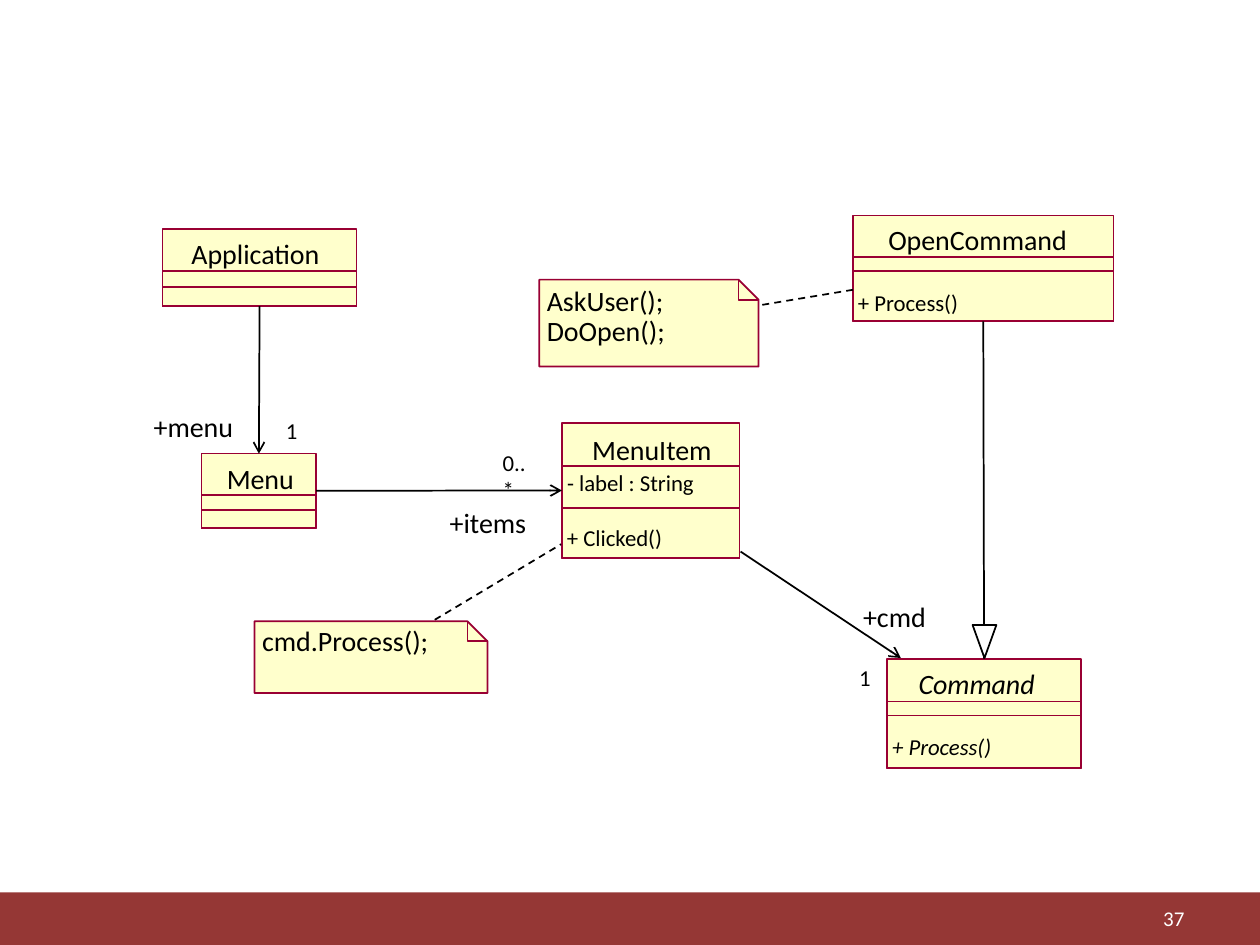
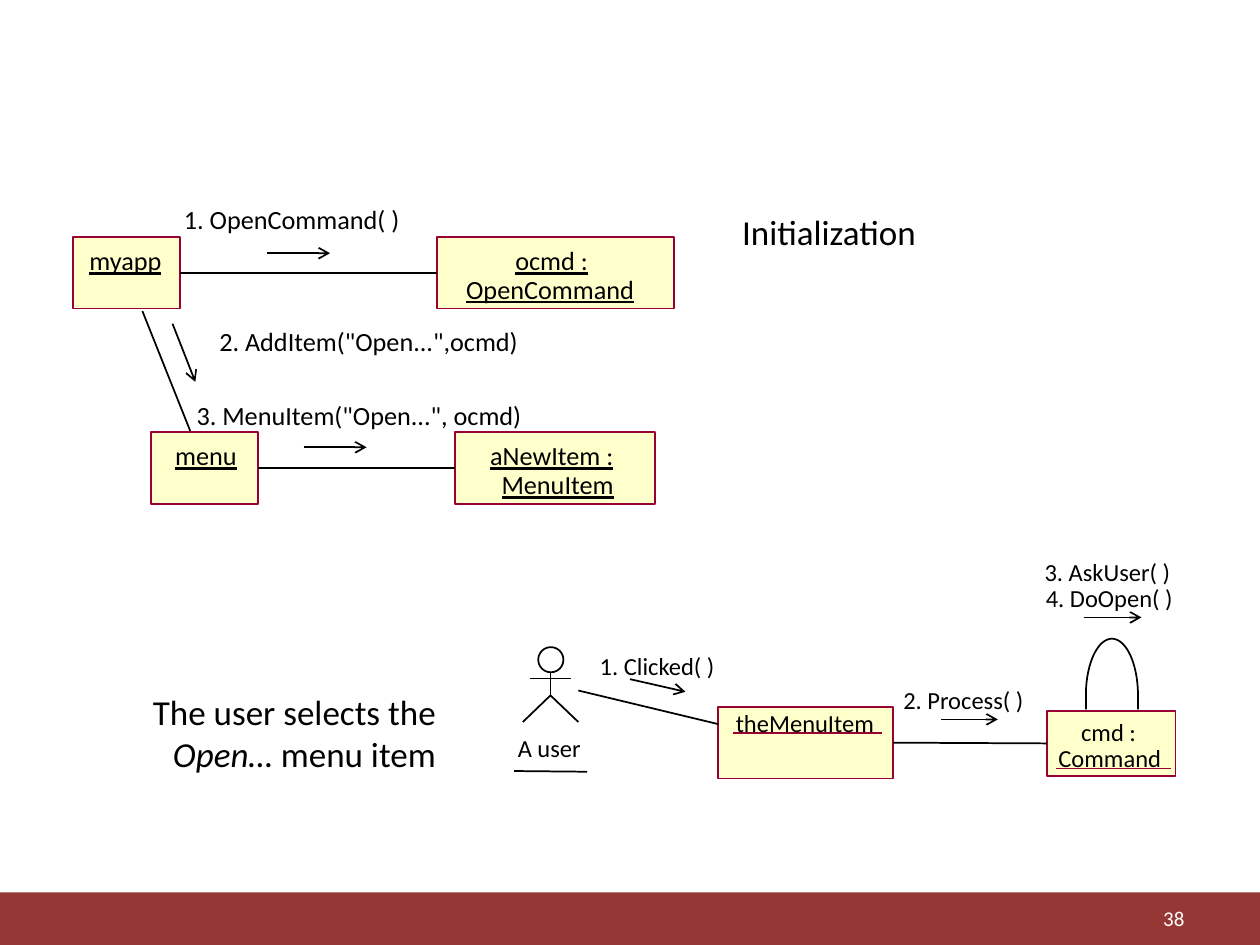
from math import cos, pi, sin
from lxml.etree import SubElement
from pptx import Presentation
from pptx.dml.color import RGBColor
from pptx.enum.dml import MSO_LINE
from pptx.enum.shapes import MSO_CONNECTOR, MSO_SHAPE
from pptx.enum.text import MSO_AUTO_SIZE, PP_ALIGN
from pptx.oxml.ns import qn
from pptx.util import Pt

BRICK = RGBColor(0x95, 0x37, 0x35)
WINE = RGBColor(0x99, 0x00, 0x33)
CREAM = RGBColor(0xFF, 0xFF, 0xCC)
WHITE = RGBColor(0xFF, 0xFF, 0xFF)
BLACK = RGBColor(0, 0, 0)
FOLD = 11.5


def paint(shape, fill, edge):
    shape.shadow.inherit = False
    if fill is None:
        shape.fill.background()
    else:
        shape.fill.solid()
        shape.fill.fore_color.rgb = fill
    if edge is None:
        shape.line.fill.background()
    else:
        shape.line.color.rgb = edge
        shape.line.width = Pt(1)


def write(slide, left, top, width, size, runs, look="", color=BLACK):
    box = slide.shapes.add_textbox(Pt(left), Pt(top), Pt(width), Pt(size * 1.22))
    frame = box.text_frame
    frame.margin_left = frame.margin_right = 0
    frame.margin_top = frame.margin_bottom = 0
    frame.word_wrap = "w" in look
    frame.auto_size = MSO_AUTO_SIZE.SHAPE_TO_FIT_TEXT
    para = frame.paragraphs[0]
    para.alignment = PP_ALIGN.RIGHT if "r" in look else PP_ALIGN.LEFT
    for words, slant in runs:
        run = para.add_run()
        run.text = words
        run.font.name = "Calibri"
        run.font.size = Pt(size)
        run.font.color.rgb = color
        run.font.italic = slant
        run.font.underline = "u" in look


classes = {
    "number": "37",
    "boxes": {
        "app": (92.9, 131, 110.9, 44, (23.8, 33.1)),
        "menu": (115.2, 259.2, 65.5, 42.5, (23.8, 32.4)),
        "item": (321.1, 241.9, 101.5, 76.8, (24.5, 48.2)),
        "command": (506.9, 376.4, 110.9, 62.6, (24.5, 32.4)),
        "open": (487.4, 123.1, 149, 60.5, (23.8, 31.7)),
    },
    "joins": [
        ("app", 2, "menu", 0, "arrow"),
        ("menu", 3, "item", 1, "arrow"),
        ("open", 2, "command", 0, ""),
    ],
    "lines": [
        (248.4, 354.2, 320.6, 311, BLACK, "dash"),
        (435.6, 174.2, 487.4, 165.6, BLACK, "dash"),
        (423.2, 315.2, 514.8, 376, BLACK, "arrow"),
    ],
    "outlines": [([(562.6, 376), (569.4, 357.1), (555.8, 357.1)], True, WHITE, BLACK)],
    "labels": [
        (149.8, 356.4, 108, 16, "cmd.Process();", ""),
        (312.5, 162, 75.6, 16, "AskUser();", ""),
        (312.5, 179.3, 75, 16, "DoOpen();", ""),
        (109.4, 135.4, 77.8, 16, "Application", ""),
        (129.6, 263.5, 40.3, 16, "Menu", ""),
        (87.8, 234, 49.7, 16, "+menu", ""),
        (163.4, 238.3, 7.2, 13, "1", ""),
        (338.4, 247, 71.3, 16, "MenuItem", ""),
        (324, 267.8, 80.6, 13, "- label : String", ""),
        (324, 299.5, 62.6, 13, "+ Clicked()", ""),
        (257, 288.7, 47.5, 16, "+items", ""),
        (287.3, 256.3, 19.4, 13, "0..*", "w"),
        (524.9, 380.9, 73.4, 16, "Command", "i"),
        (509.8, 419, 67, 13, "+ Process()", "i"),
        (491, 379.4, 7.2, 13, "1", ""),
        (493.2, 342.7, 39.6, 16, "+cmd", ""),
        (507.6, 127.4, 113, 16, "OpenCommand", ""),
        (490.3, 164.9, 67, 13, "+ Process()", ""),
    ],
}
for left, top, width, height in ((145.4, 355, 133.2, 41), (308.2, 159.8, 125.3, 49.7)):
    right, base = left + width, top + height
    crease = [(right - FOLD, top), (right - FOLD, top + FOLD), (right, top + FOLD)]
    sheet = [(left, top), crease[0], crease[2], (right, base), (left, base)]
    classes["outlines"] += [(sheet, True, CREAM, WINE), (crease, False, None, WINE)]

turns = [pi * step / 40 for step in range(41)]
curve = [(635.4 - 14.9 * cos(turn), 397.4 - 32.4 * sin(turn)) for turn in turns]
calls = {
    "number": "38",
    "boxes": {
        "myapp": (41.8, 135.4, 61.2, 41, ()),
        "menu": (86.4, 247, 61.2, 41, ()),
        "ocmd": (249.8, 135.4, 135.4, 41, ()),
        "new": (259.9, 247, 114.5, 41, ()),
        "item": (410.4, 403.9, 100, 41, ()),
        "cmd": (598.3, 406.1, 73.5, 37.4, ()),
    },
    "joins": [
        ("myapp", 3, "ocmd", 1, ""),
        ("menu", 3, "new", 1, ""),
        ("item", 3, "cmd", 1, ""),
    ],
    "lines": [
        (81.4, 177.8, 108.7, 246.2, BLACK, ""),
        (98.6, 185, 111.6, 218.2, BLACK, "arrow"),
        (152.6, 144.7, 188.6, 144.7, BLACK, "arrow"),
        (173.5, 255.6, 209.5, 255.6, BLACK, "arrow"),
        (314.6, 383.8, 314.6, 397.4, BLACK, ""),
        (303.1, 387.7, 326.2, 387.7, BLACK, ""),
        (293.8, 440.6, 335.5, 441, BLACK, ""),
        (330.5, 394.6, 410.4, 413.8, BLACK, ""),
        (360, 388.1, 391.7, 395.3, BLACK, "arrow"),
        (537.8, 411.1, 570.2, 411.1, BLACK, "arrow"),
        (619.2, 352.8, 652.3, 352.8, BLACK, "arrow"),
        (419, 418.7, 504, 418.7, WINE, ""),
        (603.4, 439.2, 668.9, 439.2, WINE, ""),
    ],
    "outlines": [
        ([(298.8, 412.6), (314.6, 397.4), (330.5, 412.6)], False, None, BLACK),
        ([(620.5, 405.4)] + curve + [(650.3, 405.4)], False, None, BLACK),
    ],
    "labels": [
        (424.1, 120.2, 104.4, 20, "Initialization", ""),
        (51.1, 139.7, 45.4, 15, "myapp", "u"),
        (100.1, 251.3, 37.4, 15, "menu", "u"),
        (294.5, 139.7, 49, 15, "ocmd :", "u"),
        (266.4, 156.2, 105.8, 15, "OpenCommand", "u"),
        (280.1, 251.3, 79.9, 15, "aNewItem :", "u"),
        (286.6, 267.8, 67, 15, "MenuItem", "u"),
        (125.3, 185.8, 183.6, 15, '2. AddItem("Open...",ocmd)', ""),
        (105.1, 115.9, 136.8, 15, "1. OpenCommand( )", ""),
        (112.3, 228.2, 198, 15, '3. MenuItem("Open...", ocmd)', ""),
        (295.9, 419, 40.3, 14, "A user", ""),
        (420.5, 404.6, 81.4, 14, "theMenuItem", ""),
        (617.8, 409.7, 38.2, 14, "cmd :", ""),
        (604.8, 424.8, 64, 14, "Command", ""),
        (596.9, 318.2, 81.4, 14, "3. AskUser( )", ""),
        (597.6, 333.4, 80.6, 14, "4. DoOpen( )", ""),
        (342.7, 372.2, 74.2, 14, "1. Clicked( )", ""),
        (516.2, 391.7, 79.2, 14, "2. Process( )", ""),
    ],
}

deck = Presentation()
deck.slide_width, deck.slide_height = Pt(720), Pt(540)

for page in (classes, calls):
    slide = deck.slides.add_slide(deck.slide_layouts[6])
    shapes = slide.shapes
    band = shapes.add_shape(MSO_SHAPE.RECTANGLE, 0, Pt(510), Pt(720), Pt(30))
    paint(band, BRICK, None)
    write(slide, 516, 517.2, 160.8, 12, [(page["number"], False)], "rw", WHITE)

    frames = {}
    for name, (left, top, width, height, cuts) in page["boxes"].items():
        for cut in (0, *cuts):
            part = shapes.add_shape(MSO_SHAPE.RECTANGLE, Pt(left), Pt(top + cut),
                                    Pt(width), Pt(height - cut))
            paint(part, None if cut else CREAM, WINE)
            frames.setdefault(name, part)

    links = []
    for first, start, last, end, style in page["joins"]:
        link = shapes.add_connector(MSO_CONNECTOR.STRAIGHT, 0, 0, 0, 0)
        link.begin_connect(frames[first], start)
        link.end_connect(frames[last], end)
        links.append((link, BLACK, style))
    for *ends, color, style in page["lines"]:
        link = shapes.add_connector(MSO_CONNECTOR.STRAIGHT, *map(Pt, ends))
        links.append((link, color, style))
    for link, color, style in links:
        link.line.color.rgb = color
        link.line.width = Pt(1)
        if style == "dash":
            link.line.dash_style = MSO_LINE.DASH
        if style == "arrow":
            SubElement(link.line._get_or_add_ln(), qn("a:tailEnd"), type="arrow")
        SubElement(link._element.spPr, qn("a:effectLst"))

    for points, closed, fill, edge in page["outlines"]:
        spots = [(Pt(x), Pt(y)) for x, y in points]
        pen = shapes.build_freeform(*spots[0])
        pen.add_line_segments(spots[1:], close=closed)
        paint(pen.convert_to_shape(), fill, edge)

    for left, top, width, size, words, look in page["labels"]:
        write(slide, left, top, width, size, [(words, "i" in look)], look)

head = shapes.add_shape(MSO_SHAPE.OVAL, Pt(307.6), Pt(369.8), Pt(14.4), Pt(14.4))
paint(head, None, BLACK)
story = [("The user selects the ", False), ("Open…", True), (" menu item", False)]
write(slide, 68.4, 394.6, 180.7, 20, story, "rw")

deck.save("out.pptx")
